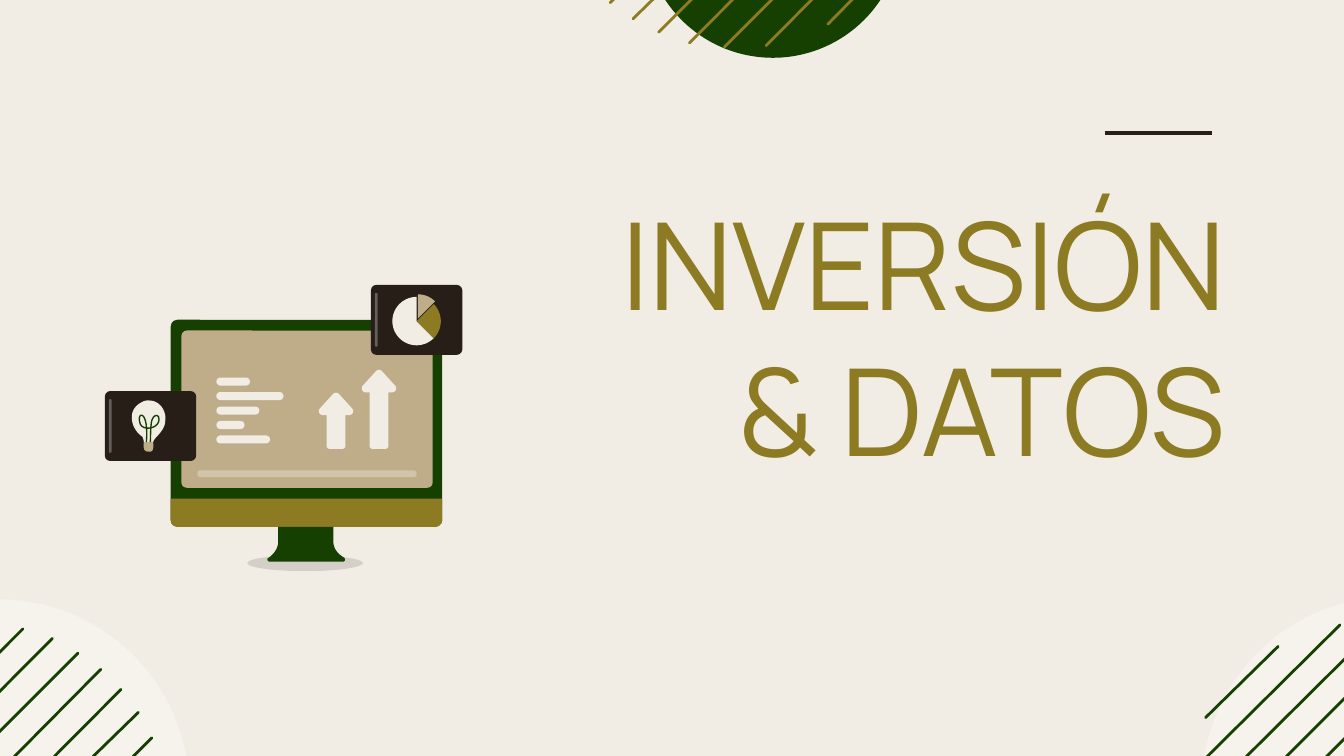
import math
from dataclasses import dataclass

import pptx
import pptx.dml.color
import pptx.enum.shapes
import pptx.enum.text
import pptx.oxml
import pptx.oxml.ns
import pptx.util

Inches = pptx.util.Inches
Kind = pptx.enum.shapes.MSO_SHAPE
CREAM, GREEN, GOLD, TAN, DARK = "F2EDE4", "154001", "8C7B23", "BFAD8A", "261E17"


@dataclass
class Panel:
    left: float
    top: float
    width: float
    height: float
    color: str
    round: float = 0
    alpha: int = 100
    kind: int = Kind.ROUNDED_RECTANGLE


@dataclass
class Stripe:
    x: float
    y: float
    end_x: float
    end_y: float
    color: str
    weight: float = 1.5
    cap: str = "rnd"


def paint(fill, color: str, alpha: int = 100) -> None:
    fill.solid()
    fill.fore_color.rgb = pptx.dml.color.RGBColor.from_string(color)
    if alpha < 100:
        tint = fill._xPr.find(".//" + pptx.oxml.ns.qn("a:srgbClr"))
        node = pptx.oxml.parse_xml(
            f'<a:alpha {pptx.oxml.ns.nsdecls("a")} val="{alpha * 1000}"/>')
        tint.append(node)


def finish(shape, color: str, alpha: int = 100) -> None:
    shape.shadow.inherit = False
    shape.line.fill.background()
    paint(shape.fill, color, alpha)


def panel(shapes, item: Panel) -> None:
    box = [Inches(v) for v in (item.left, item.top, item.width, item.height)]
    shape = shapes.add_shape(item.kind, *box)
    ratio = item.round / min(item.width, item.height)
    if item.kind == Kind.ROUNDED_RECTANGLE:
        shape.adjustments[0] = ratio
    elif item.kind == Kind.ROUND_2_SAME_RECTANGLE:
        shape.adjustments[0], shape.adjustments[1] = 0, ratio
    finish(shape, item.color, item.alpha)


def stripe(shapes, item: Stripe) -> None:
    ends = [Inches(v) for v in (item.x, item.y, item.end_x, item.end_y)]
    line = shapes.add_connector(pptx.enum.shapes.MSO_CONNECTOR.STRAIGHT, *ends)
    line.line.width = pptx.util.Pt(item.weight)
    paint(line.line.fill, item.color)
    props = line._element.spPr
    props.find(pptx.oxml.ns.qn("a:ln")).set("cap", item.cap)
    props.append(pptx.oxml.parse_xml(f'<a:effectLst {pptx.oxml.ns.nsdecls("a")}/>'))


def trace(steps: list[tuple]) -> list[tuple]:
    """Turn points (2 numbers) and Bezier curves (6 numbers) into plain points."""
    points = [steps[0]]
    for step in steps[1:]:
        if len(step) == 2:
            points.append(step)
            continue
        x, y = points[-1]
        a, b, c, d, e, f = step
        for i in range(1, 13):
            t = i / 12
            u = 1 - t
            points.append((
                u**3 * x + 3 * u * u * t * a + 3 * u * t * t * c + t**3 * e,
                u**3 * y + 3 * u * u * t * b + 3 * u * t * t * d + t**3 * f))
    return points


def outline(shapes, steps: list[tuple], color: str, closed: bool = True) -> None:
    first, *rest = [(Inches(x), Inches(y)) for x, y in trace(steps)]
    pen = shapes.build_freeform(*first)
    pen.add_line_segments(rest, close=closed)
    shape = pen.convert_to_shape()
    finish(shape, color)
    if not closed:
        shape.fill.background()
        shape.line.width = pptx.util.Pt(0.75)
        paint(shape.line.fill, color)


def wedge(shapes, x: float, y: float, start: int, stop: int, color: str) -> None:
    turns = [math.radians(a) for a in range(start, stop + 1, 5)]
    rim = [(x + 0.18 * math.cos(a), y + 0.18 * math.sin(a)) for a in turns]
    outline(shapes, [(x, y), *rim], color)


def arrow(shapes, x: float, top: float) -> None:
    neck, base = top + 0.17, 3.34
    outline(shapes, [
        (x + 0.12, top + 0.12), (x + 0.02, top + 0.01),
        (x + 0.01, top, x - 0.01, top, x - 0.02, top + 0.01), (x - 0.12, top + 0.12),
        (x - 0.14, top + 0.14, x - 0.12, neck, x - 0.1, neck), (x - 0.07, neck),
        (x - 0.07, base - 0.02),
        (x - 0.07, base - 0.01, x - 0.06, base, x - 0.05, base), (x + 0.05, base),
        (x + 0.06, base, x + 0.07, base - 0.01, x + 0.07, base - 0.02),
        (x + 0.07, neck), (x + 0.1, neck),
        (x + 0.12, neck, x + 0.14, top + 0.14, x + 0.12, top + 0.12)], CREAM)


def decor(shapes) -> None:
    left = [(-1.54, 6.39, 0.17, 4.68), (-1.46, 6.61, 0.39, 4.75),
            (-1.36, 6.8, 0.58, 4.86), (-1.26, 7.01, 0.75, 4.98),
            (-1.02, 7.06, 0.9, 5.13), (-0.96, 7.24, 1.03, 5.3),
            (-0.73, 7.35, 1.13, 5.49)]
    right = [(8.97, 5.34, 9.51, 4.81), (8.81, 5.8, 9.97, 4.65),
             (8.79, 6.11, 10.28, 4.63), (8.83, 6.37, 10.54, 4.66),
             (8.91, 6.59, 10.76, 4.74)]
    upper = [(4.54, 0.02, 6.55, -1.97), (4.71, 0.14, 6.69, -1.79),
             (4.9, 0.24, 6.76, -1.61), (5.13, 0.32, 6.83, -1.39),
             (5.39, 0.35, 6.87, -1.13), (5.7, 0.34, 6.85, -0.82),
             (6.16, 0.18, 6.69, -0.36)]
    discs = [(Panel(-1.43, 4.46, 2.84, 2.86, "FFFFFF", 0, 36, Kind.OVAL), left, GREEN),
             (Panel(8.94, 4.44, 2.84, 2.86, "FFFFFF", 0, 36, Kind.OVAL), right, GREEN),
             (Panel(4.79, -1.49, 1.92, 1.92, GREEN, kind=Kind.OVAL), upper, GOLD)]
    for disc, rows, color in discs:
        panel(shapes, disc)
        for row in rows:
            stripe(shapes, Stripe(*row, color))


def title(shapes) -> None:
    box = shapes.add_textbox(Inches(3.79), Inches(1.31), Inches(5.43), Inches(2.73))
    frame = box.text_frame
    pad = Inches(0.1)
    style = {"word_wrap": True, "margin_left": pad, "margin_right": pad,
             "margin_top": pad, "margin_bottom": pad,
             "vertical_anchor": pptx.enum.text.MSO_ANCHOR.TOP}
    for name, value in style.items():
        setattr(frame, name, value)
    para = frame.paragraphs[0]
    para.alignment = pptx.enum.text.PP_ALIGN.RIGHT
    run = para.add_run()
    run.text = "INVERSIÓN & DATOS"
    for name, value in {"name": "Manrope", "size": pptx.util.Pt(65)}.items():
        setattr(run.font, name, value)
    paint(run.font.fill, GOLD)


def screen(shapes) -> None:
    for item in (Panel(1.84, 4.13, 0.86, 0.12, "000000", 0, 12, Kind.OVAL),
                 Panel(1.27, 2.38, 2.02, 1.54, GREEN, 0.05),
                 Panel(1.27, 3.71, 2.02, 0.21, GOLD, 0.05,
                       kind=Kind.ROUND_2_SAME_RECTANGLE)):
        panel(shapes, item)
    outline(shapes, [(2.07, 4.03), (2.07, 3.92), (2.48, 3.92), (2.48, 4.03),
                     (2.48, 4.08, 2.51, 4.12, 2.56, 4.15),
                     (2.57, 4.16, 2.57, 4.18, 2.55, 4.18), (2.01, 4.18),
                     (1.99, 4.18, 1.98, 4.16, 2, 4.15),
                     (2.04, 4.12, 2.07, 4.08, 2.07, 4.03)], GREEN)
    panel(shapes, Panel(1.35, 2.46, 1.87, 1.17, TAN, 0.04))
    for i, width in enumerate((0.25, 0.5, 0.32, 0.21, 0.4)):
        panel(shapes, Panel(1.61, 2.81 + i * 0.43 / 4, width, 0.06, CREAM, 0.03))
    arrow(shapes, 2.5, 2.92)
    arrow(shapes, 2.82, 2.75)
    panel(shapes, Panel(1.47, 3.5, 1.63, 0.05, "FFFFFF", 0.02, 29))


def cards(shapes) -> None:
    for x, y in ((0.78, 2.91), (2.76, 2.12)):
        panel(shapes, Panel(x, y, 0.68, 0.52, DARK, 0.04))
        panel(shapes, Panel(x + 0.03, y + 0.06, 0.02, 0.4, "FFFFFF", 0.01, 29))
    outline(shapes, [(1.11, 2.98), (1.09, 2.98, 1.08, 2.98, 1.06, 2.99),
                     (0.93, 3.05, 0.98, 3.2, 1.06, 3.25),
                     (1.07, 3.27, 1.07, 3.29, 1.07, 3.29), (1.14, 3.29),
                     (1.14, 3.26, 1.23, 3.21, 1.23, 3.13),
                     (1.24, 3.06, 1.19, 2.98, 1.11, 2.98)], CREAM)
    outline(shapes, [(1.14, 3.29), (1.14, 3.32, 1.15, 3.37, 1.1, 3.36),
                     (1.06, 3.36, 1.07, 3.31, 1.07, 3.29)], TAN)
    outline(shapes, [(1.12, 3.29), (1.12, 3.29, 1.12, 3.17, 1.13, 3.13),
                     (1.14, 3.1, 1.16, 3.08, 1.18, 3.1),
                     (1.21, 3.19, 1.05, 3.22, 1.04, 3.14),
                     (1.02, 3.06, 1.11, 3.05, 1.09, 3.29)], GREEN, False)
    wedge(shapes, 3.11, 2.37, 270, 315, TAN)
    wedge(shapes, 3.1, 2.39, 45, 270, CREAM)
    wedge(shapes, 3.1, 2.39, -45, 45, GOLD)


def main() -> None:
    deck = pptx.Presentation()
    deck.slide_width = Inches(10)
    deck.slide_height = deck.slide_width * 9 // 16
    slide = deck.slides.add_slide(deck.slide_layouts[6])
    paint(slide.background.fill, CREAM)
    decor(slide.shapes)
    title(slide.shapes)
    stripe(slide.shapes, Stripe(8.22, 0.99, 9.02, 0.99, DARK, 2.25, "flat"))
    screen(slide.shapes)
    cards(slide.shapes)
    deck.save("out.pptx")


if __name__ == "__main__":
    main()
